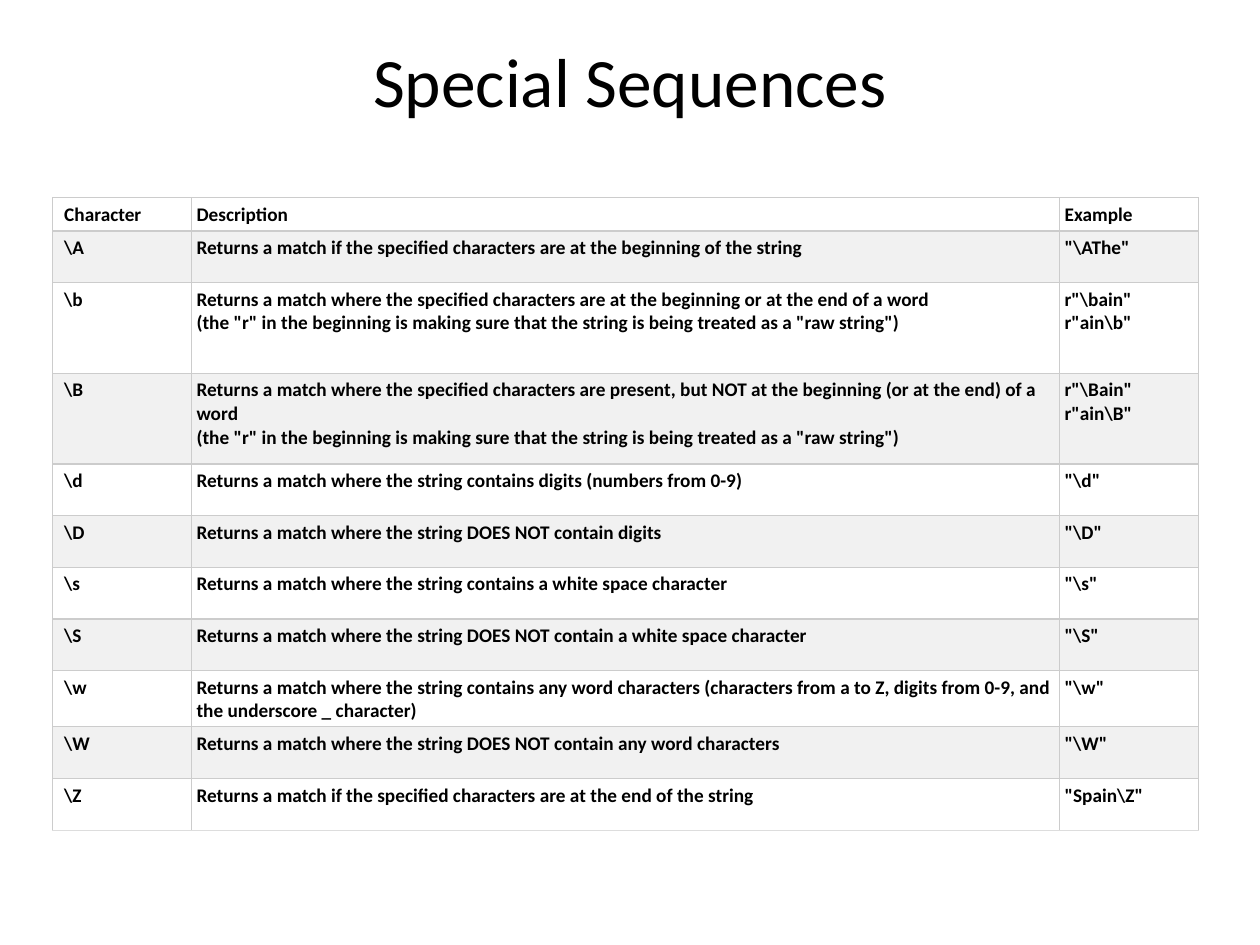
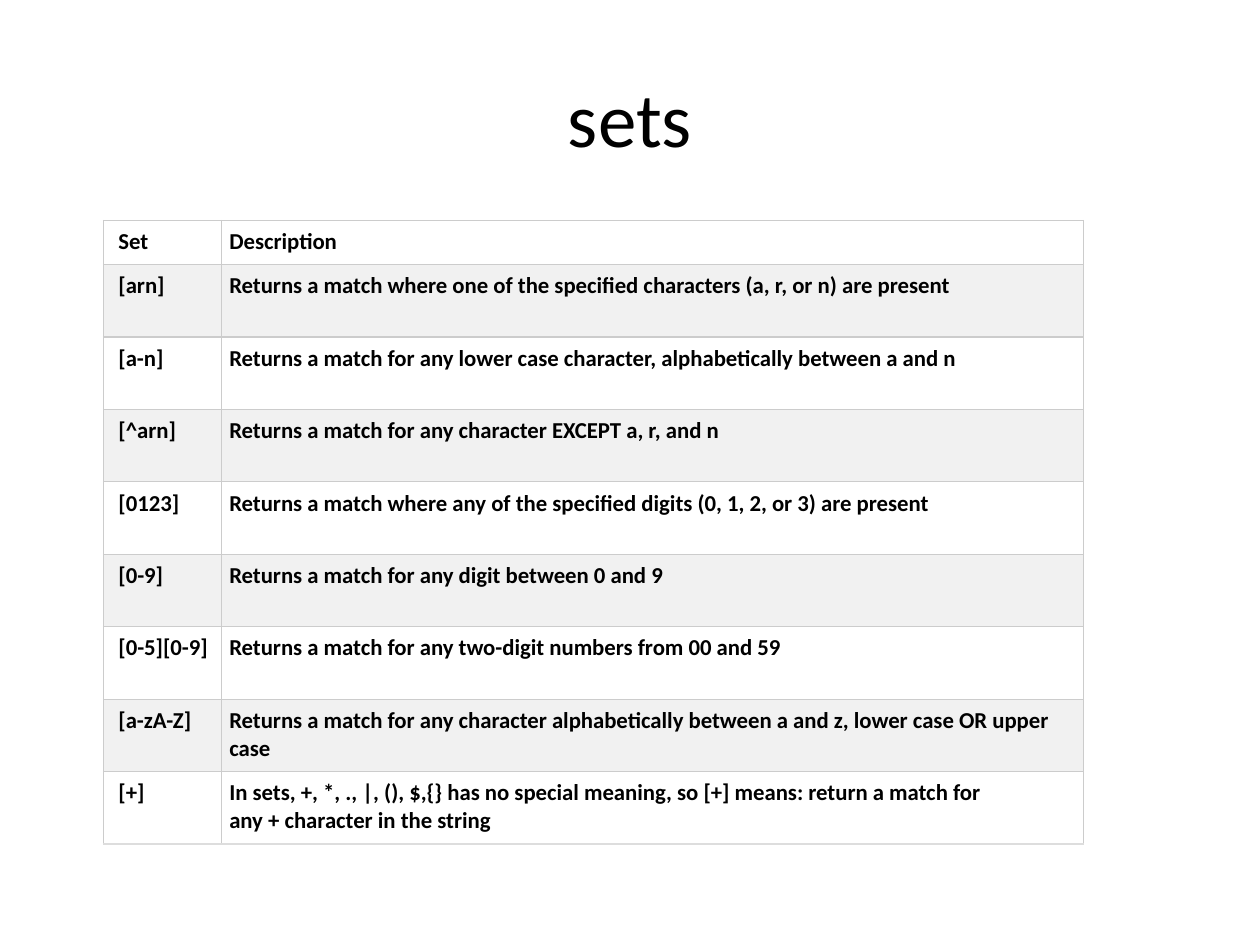
import pptx
import pptx.util
import pptx.dml.color
import pptx.enum.text
import pptx.oxml.ns
from lxml import etree

Inches = pptx.util.Inches
Pt = pptx.util.Pt
ANCHOR = pptx.enum.text.MSO_ANCHOR

FONT = "Calibri"
COLORS = {"text": "000000", "plain": "FFFFFF", "band": "F1F1F1",
          "border": "CCCCCC", "last_border": "DDDDDD"}
TITLE_BOX = (0.5, 0.3, 9, 1.25)

RAW_NOTE = ('\v(the "r" in the beginning is making sure that the string '
            'is being treated as a "raw string")')
SEQUENCES = [
    ("Character", "Description", "Example"),
    ("\\A", "Returns a match if the specified characters are at the beginning of the string",
     '"\\AThe"'),
    ("\\b", "Returns a match where the specified characters are at the beginning or "
     "at the end of a word" + RAW_NOTE, 'r"\\bain"\vr"ain\\b"'),
    ("\\B", "Returns a match where the specified characters are present, but NOT at the "
     "beginning (or at the end) of a word" + RAW_NOTE, 'r"\\Bain"\vr"ain\\B"'),
    ("\\d", "Returns a match where the string contains digits (numbers from 0-9)", '"\\d"'),
    ("\\D", "Returns a match where the string DOES NOT contain digits", '"\\D"'),
    ("\\s", "Returns a match where the string contains a white space character", '"\\s"'),
    ("\\S", "Returns a match where the string DOES NOT contain a white space character",
     '"\\S"'),
    ("\\w", "Returns a match where the string contains any word characters (characters "
     "from a to Z, digits from 0-9, and the underscore _ character)", '"\\w"'),
    ("\\W", "Returns a match where the string DOES NOT contain any word characters", '"\\W"'),
    ("\\Z", "Returns a match if the specified characters are at the end of the string",
     '"Spain\\Z"'),
]
SETS = [
    ("Set", "Description"),
    ("[arn]", "Returns a match where one of the specified characters "
     "(a,\u00a0r, or\u00a0n) are present"),
    ("[a-n]", "Returns a match for any lower case character, alphabetically "
     "between\u00a0a\u00a0and\u00a0n"),
    ("[^arn]", "Returns a match for any character EXCEPT\u00a0a,\u00a0r, and\u00a0n"),
    ("[0123]", "Returns a match where any of the specified digits "
     "(0,\u00a01,\u00a02, or\u00a03) are present"),
    ("[0-9]", "Returns a match for any digit between\u00a00\u00a0and\u00a09"),
    ("[0-5][0-9]", "Returns a match for any two-digit numbers from\u00a000\u00a0and\u00a059"),
    ("[a-zA-Z]", "Returns a match for any character alphabetically "
     "between\u00a0a\u00a0and\u00a0z, lower case OR upper case"),
    ("[+]", "In sets,\u00a0+,\u00a0*,\u00a0.,\u00a0|,\u00a0(),\u00a0$,{}\u00a0has no special "
     "meaning, so\u00a0[+]\u00a0means: return a match for any\u00a0+\u00a0character "
     "in the string"),
]


def rgb(name):
    return pptx.dml.color.RGBColor.from_string(COLORS[name])


def style_font(paragraph, size, bold=False):
    paragraph.font.name = FONT
    paragraph.font.size = Pt(size)
    paragraph.font.bold = bold
    paragraph.font.color.rgb = rgb("text")


def add_title(page, box, text, size, anchor):
    frame = page.shapes.add_textbox(*map(Inches, box)).text_frame
    frame.word_wrap = True
    frame.vertical_anchor = anchor
    frame.margin_top = frame.margin_bottom = 0
    frame.text = text
    paragraph = frame.paragraphs[0]
    paragraph.alignment = pptx.enum.text.PP_ALIGN.CENTER
    style_font(paragraph, size)


def set_borders(cell, bottom):
    properties = cell._tc.get_or_add_tcPr()
    for side in "LRTB":
        line = etree.SubElement(properties, pptx.oxml.ns.qn("a:ln" + side), w=str(Pt(0.75)))
        fill = etree.SubElement(line, pptx.oxml.ns.qn("a:solidFill"))
        color = COLORS[bottom if side == "B" else "border"]
        etree.SubElement(fill, pptx.oxml.ns.qn("a:srgbClr"), val=color)


def add_reference_table(page, corner, rows, widths, heights, size, inset, first_inset):
    """Banded grid; the first column has a wider left inset."""
    table = page.shapes.add_table(
        len(rows), len(widths), *map(Inches, (*corner, sum(widths), sum(heights)))).table
    table.first_row = table.horz_banding = False
    for column, width in zip(table.columns, widths):
        column.width = Inches(width)
    for r, (texts, height) in enumerate(zip(rows, heights)):
        table.rows[r].height = Inches(height)
        for c, text in enumerate(texts):
            cell = table.cell(r, c)
            set_borders(cell, "last_border" if r == len(rows) - 1 else "border")
            cell.fill.solid()
            cell.fill.fore_color.rgb = rgb("band" if r % 2 else "plain")
            cell.margin_left = Inches(inset if c else first_inset)
            cell.margin_right = cell.margin_top = cell.margin_bottom = Inches(inset)
            cell.text_frame.text = text
            style_font(cell.text_frame.paragraphs[0], size, bold=True)


deck = pptx.Presentation()
deck.slide_width, deck.slide_height = Inches(10), Inches(7.5)
blank = deck.slide_layouts[6]

# Special sequences
page = deck.slides.add_slide(blank)
add_title(page, TITLE_BOX, "Special Sequences", 39.6, ANCHOR.TOP)
add_reference_table(page, (0.42, 1.57), SEQUENCES, [1.1, 6.89, 1.1],
                    [0.25, 0.41] + [0.72] * 2 + [0.41] * 7, 11, 0.04, 0.09)

# Sets
page = deck.slides.add_slide(blank)
add_title(page, TITLE_BOX, "sets", 44, ANCHOR.MIDDLE)
add_reference_table(page, (0.82, 1.75), SETS, [0.94, 6.84],
                    [0.35] + [0.575] * 8, 13, 0.06, 0.12)

deck.save("out.pptx")
